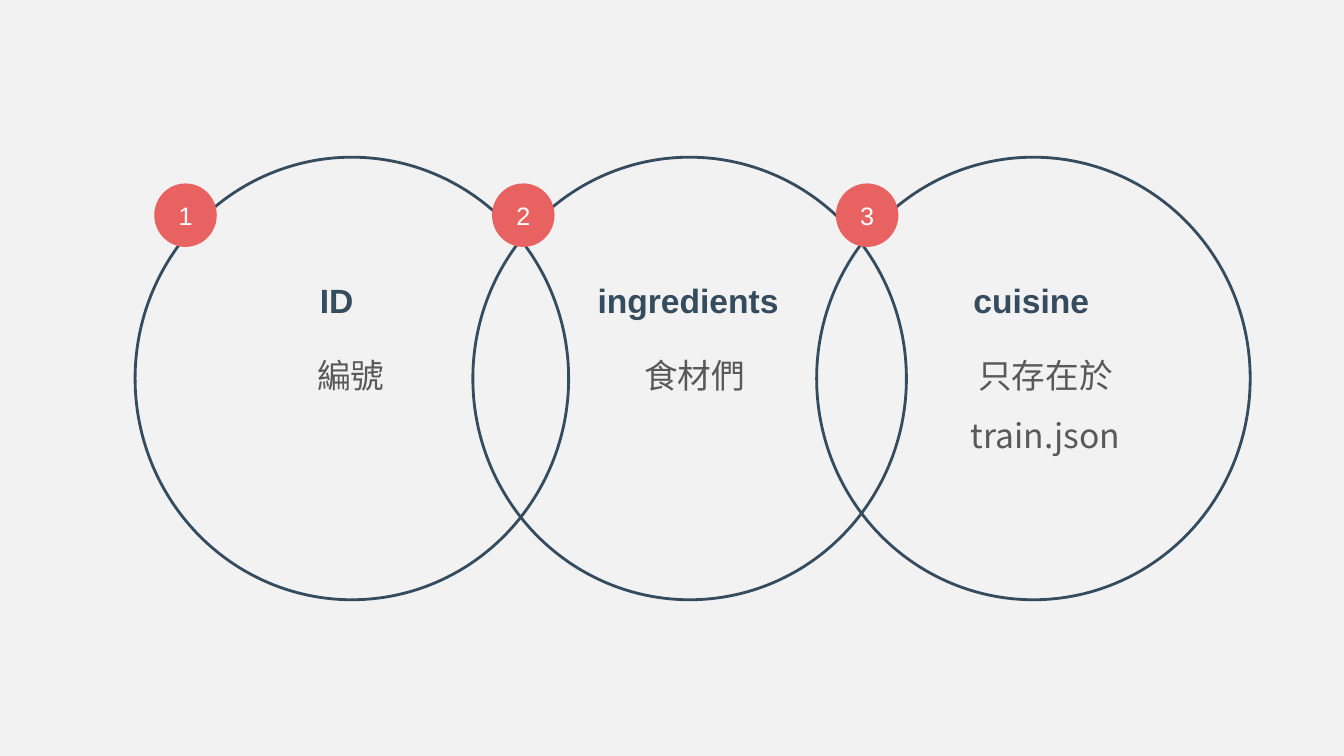
from dataclasses import dataclass

from lxml import etree
from pptx import Presentation
from pptx.dml.color import RGBColor
from pptx.enum import shapes, text
from pptx.oxml.ns import qn
from pptx.util import Inches, Pt


@dataclass(frozen=True)
class Theme:
    background: str = "F2F2F2"
    navy: str = "354B5E"
    coral: str = "E86262"
    gray: str = "595959"
    white: str = "FFFFFF"
    latin_font: str = "Arial"
    cjk_font: str = "Noto Sans CJK SC"
    label_size: int = 24
    number_size: int = 18
    outline: int = 2


THEME = Theme()

# Left edges of the circle, heading box and description box of each field
FIELDS = [
    {"heading": "ID ", "lines": ["編號"], "lefts": (1.34, 2.07, 1.79)},
    {"heading": "ingredients", "lines": ["食材們"], "lefts": (4.69, 5.51, 5.2)},
    {"heading": "cuisine ", "lines": ["只存在於", "train.json"], "lefts": (8.1, 8.96, 8.68)},
]

CIRCLE_TOP, CIRCLE_WIDTH, CIRCLE_HEIGHT = 1.56, 4.3, 4.39
BADGE_INSET, BADGE_TOP, BADGE_WIDTH, BADGE_HEIGHT = 0.19, 1.82, 0.62, 0.63
HEADING_TOP, HEADING_WIDTH, HEADING_HEIGHT = 2.73, 2.63, 0.5
LINES_TOP, LINES_WIDTH, LINE_HEIGHT, LINES_PADDING = 3.27, 3.38, 0.6, 0.04


def color(value):
    return RGBColor.from_string(value)


def add_ellipse(slide, left, top, width, height):
    ellipse = slide.shapes.add_shape(
        shapes.MSO_SHAPE.OVAL, Inches(left), Inches(top), Inches(width), Inches(height))
    ellipse.shadow.inherit = False
    return ellipse


def write_lines(frame, lines, size, font, fill, bold=False, spacing=1.0):
    """Write one centred paragraph per line, with the font set for all scripts."""
    frame.word_wrap = True
    for index, line in enumerate(lines):
        paragraph = frame.add_paragraph() if index else frame.paragraphs[0]
        paragraph.alignment = text.PP_ALIGN.CENTER
        paragraph.line_spacing = spacing
        run = paragraph.add_run()
        run.text = line
        run.font.name = font
        run.font.size = Pt(size)
        run.font.bold = bold
        run.font.color.rgb = color(fill)
        east_asian = etree.SubElement(run.font._element, qn("a:ea"))
        east_asian.set("typeface", font)


def add_label(slide, left, top, width, height, lines, **style):
    box = slide.shapes.add_textbox(Inches(left), Inches(top), Inches(width), Inches(height))
    box.text_frame.auto_size = text.MSO_AUTO_SIZE.SHAPE_TO_FIT_TEXT
    write_lines(box.text_frame, lines, THEME.label_size, **style)


def add_circle(slide, left):
    circle = add_ellipse(slide, left, CIRCLE_TOP, CIRCLE_WIDTH, CIRCLE_HEIGHT)
    circle.fill.background()
    circle.line.color.rgb = color(THEME.navy)
    circle.line.width = Pt(THEME.outline)


def add_badge(slide, left, number):
    badge = add_ellipse(slide, left, BADGE_TOP, BADGE_WIDTH, BADGE_HEIGHT)
    badge.fill.solid()
    badge.fill.fore_color.rgb = color(THEME.coral)
    badge.line.fill.background()
    badge.text_frame.vertical_anchor = text.MSO_ANCHOR.MIDDLE
    write_lines(badge.text_frame, [str(number)], THEME.number_size,
                THEME.latin_font, THEME.white)


def main():
    presentation = Presentation()
    presentation.slide_width = Inches(13.33)
    presentation.slide_height = Inches(7.5)
    slide = presentation.slides.add_slide(presentation.slide_layouts[6])
    slide.background.fill.solid()
    slide.background.fill.fore_color.rgb = color(THEME.background)

    for field in FIELDS:
        add_circle(slide, field["lefts"][0])

    for number, field in enumerate(FIELDS, start=1):
        circle_left, heading_left, lines_left = field["lefts"]
        lines = field["lines"]
        add_badge(slide, circle_left + BADGE_INSET, number)
        add_label(slide, heading_left, HEADING_TOP, HEADING_WIDTH, HEADING_HEIGHT,
                  [field["heading"]], font=THEME.latin_font, fill=THEME.navy, bold=True)
        add_label(slide, lines_left, LINES_TOP, LINES_WIDTH,
                  LINE_HEIGHT * len(lines) + LINES_PADDING, lines,
                  font=THEME.cjk_font, fill=THEME.gray, spacing=1.5)

    presentation.save("out.pptx")


if __name__ == "__main__":
    main()
